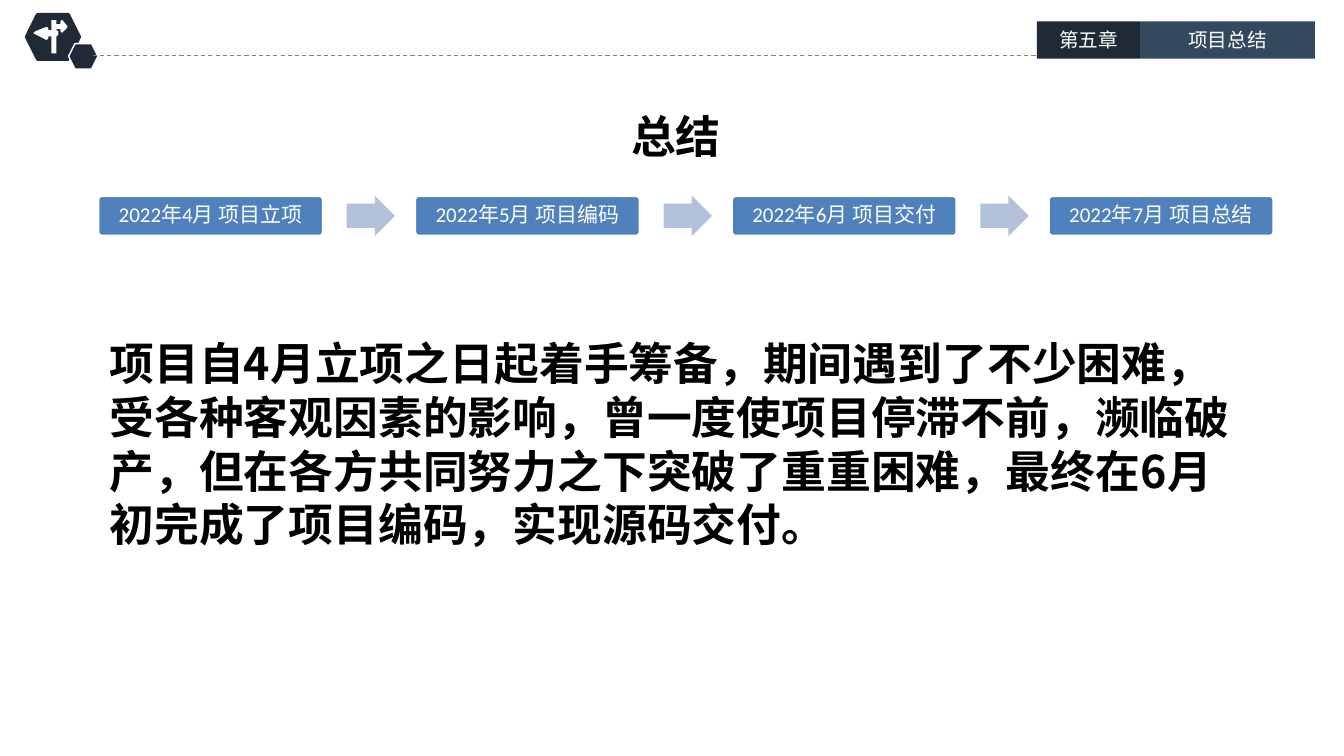
from lxml import etree
from pptx import Presentation
from pptx.dml.color import RGBColor
from pptx.enum.dml import MSO_LINE
from pptx.enum.shapes import MSO_CONNECTOR, MSO_SHAPE
from pptx.enum.text import MSO_ANCHOR, MSO_AUTO_SIZE, PP_ALIGN
from pptx.oxml.ns import qn
from pptx.util import Cm, Pt

RECT, HEXAGON = MSO_SHAPE.RECTANGLE, MSO_SHAPE.HEXAGON
ROUNDED, ARROW = MSO_SHAPE.ROUNDED_RECTANGLE, MSO_SHAPE.RIGHT_ARROW
STRAIGHT, DASH = MSO_CONNECTOR.STRAIGHT, MSO_LINE.DASH
TOP, MIDDLE = MSO_ANCHOR.TOP, MSO_ANCHOR.MIDDLE
LEFT, CENTER = PP_ALIGN.LEFT, PP_ALIGN.CENTER
NO_FIT = MSO_AUTO_SIZE.NONE

COLORS = {
    "navy": "202A36", "slate": "34495E", "grey": "808080",
    "blue": "4F81BD", "pale": "B3C1DB", "white": "FFFFFF", "black": "000000",
}
CJK = "Noto Sans CJK SC"
HEADING = {"size": Pt(32), "bold": True, "name": CJK}
TAB = {"size": Pt(14), "name": CJK}
STEP = {"size": Pt(15), "name": "Calibri"}

SIGNPOST = [
    (33, 5), (29, 0), (28, 0), (27, 1), (27, 4), (23, 4), (23, 0), (18, 0),
    (18, 10), (15, 10), (15, 8), (14, 7), (12, 7), (2, 11), (0, 13), (2, 14),
    (12, 19), (13, 20), (14, 19), (15, 18), (15, 16), (18, 16), (18, 33),
    (23, 33), (23, 16), (25, 14), (25, 11), (23, 10), (23, 9), (27, 9),
    (27, 11), (28, 12), (29, 13), (29, 12), (33, 8), (34, 6),
]
MILESTONES = ["2022年4月 项目立项", "2022年5月 项目编码",
              "2022年6月 项目交付", "2022年7月 项目总结"]
SUMMARY = ("项目自4月立项之日起着手筹备，期间遇到了不少困难，受各种客观因素的影响，"
           "曾一度使项目停滞不前，濒临破产，但在各方共同努力之下突破了重重困难，"
           "最终在6月初完成了项目编码，实现源码交付。")


def rgb(name):
    return RGBColor.from_string(COLORS[name])


def paint(sp, fill, line=None, width=1):
    sp.shadow.inherit = False
    sp.fill.solid()
    sp.fill.fore_color.rgb = rgb(fill)
    if line:
        sp.line.color.rgb = rgb(line)
        sp.line.width = Pt(width)
    else:
        sp.line.fill.background()


def add_shape(s, kind, box, fill, line=None, width=1):
    sp = s.shapes.add_shape(kind, *map(Cm, box))
    paint(sp, fill, line, width)
    return sp


def write(sp, text, font, color, align=CENTER, anchor=MIDDLE, inset=(0.25, 0.13)):
    tf = sp.text_frame
    frame = {
        "word_wrap": True, "auto_size": NO_FIT, "vertical_anchor": anchor,
        "margin_left": Cm(inset[0]), "margin_right": Cm(inset[0]),
        "margin_top": Cm(inset[1]), "margin_bottom": Cm(inset[1]),
    }
    for key, value in frame.items():
        setattr(tf, key, value)
    p = tf.paragraphs[0]
    p.alignment = align
    r = p.add_run()
    r.text = text
    for key, value in font.items():
        setattr(r.font, key, value)
    r.font.color.rgb = rgb(color)
    ea = etree.SubElement(r.font._element, qn("a:ea"))
    ea.set("typeface", CJK)
    return p


def add_emblem(s, x, y):
    add_shape(s, HEXAGON, (x, y, 1.35, 1.14), "navy", "navy", 2)
    add_shape(s, HEXAGON, (x + 1.07, y + 0.74, 0.74, 0.64), "navy", "white")
    fb = s.shapes.build_freeform(*SIGNPOST[0], scale=Cm(0.0254))
    fb.add_line_segments(SIGNPOST[1:], close=True)
    paint(fb.convert_to_shape(Cm(x + 0.18), Cm(y + 0.15)), "white")


def add_header(s, x, y, w, h):
    chapter_w, section_w = 2.6, 4.41
    section_x = x + w - section_w
    chapter_x = section_x - chapter_w
    add_emblem(s, x, y)
    rule = s.shapes.add_connector(
        STRAIGHT, Cm(x + 1.68), Cm(y + 1.04), Cm(chapter_x), Cm(y + 1.04))
    rule.line.color.rgb = rgb("grey")
    rule.line.width = Pt(0.75)
    rule.line.dash_style = DASH
    etree.SubElement(rule._element.spPr, qn("a:effectLst"))
    for left, width, fill, text in ((chapter_x, chapter_w, "navy", "第五章"),
                                    (section_x, section_w, "slate", "项目总结")):
        sp = add_shape(s, RECT, (left, y + 0.18, width, h), fill)
        write(sp, text, TAB, "white", inset=(0.18, 0.1))


def add_title(s, x, y, w, h):
    title = s.shapes.title
    title.left, title.top, title.width, title.height = map(Cm, (x, y, w, h))
    write(title, "总结", HEADING, "black", anchor=TOP)


def add_timeline(s, x, y, w, h):
    box_w, arrow_w, arrow_dx = 5.68, 1.22, 6.27
    pitch = (w - box_w) / (len(MILESTONES) - 1)
    for i, text in enumerate(MILESTONES):
        left = x + i * pitch
        if i:
            arrow = add_shape(
                s, ARROW, (left - pitch + arrow_dx, y, arrow_w, h), "pale")
            arrow.adjustments[0] = 0.6
        sp = add_shape(s, ROUNDED, (left, y, box_w, h), "blue", "white", 2)
        sp.adjustments[0] = 0.1
        p = write(sp, text, STEP, "white", inset=(0.15, 0.15))
        p.line_spacing = 0.9


def add_summary(s, x, y, w, h):
    sp = s.shapes.add_textbox(*map(Cm, (x, y, w, h)))
    write(sp, SUMMARY, HEADING, "black", LEFT, TOP)


def main():
    prs = Presentation()
    prs.slide_width, prs.slide_height = Cm(33.88), Cm(19.05)
    s = prs.slides.add_slide(prs.slide_layouts[5])
    add_header(s, 0.66, 0.36, 32.49, 0.94)
    add_title(s, 12.14, 2.62, 9.8, 1.63)
    add_timeline(s, 2.47, 4.93, 29.64, 1.02)
    add_summary(s, 2.51, 8.33, 28.93, 5.74)
    prs.save("out.pptx")


if __name__ == "__main__":
    main()
